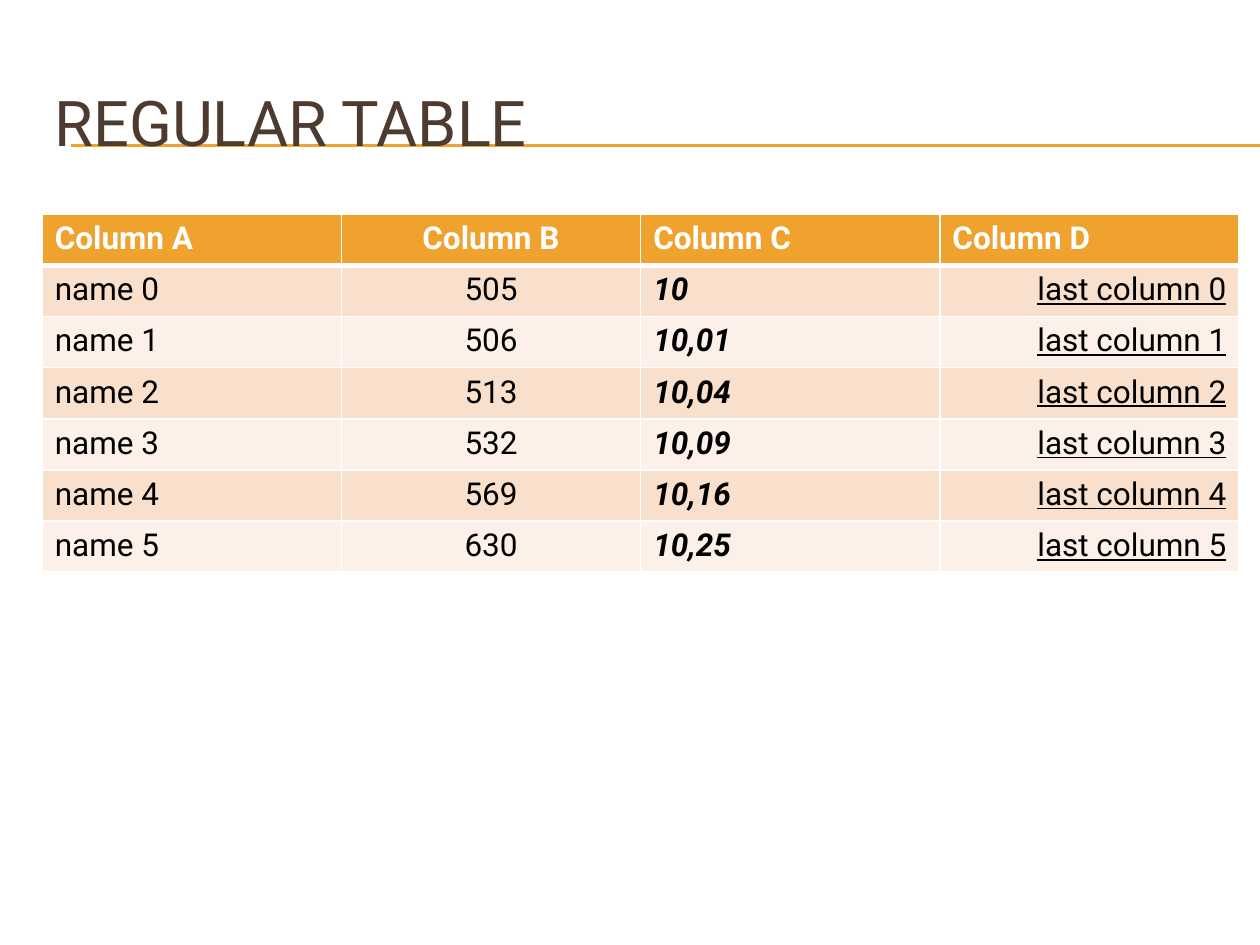
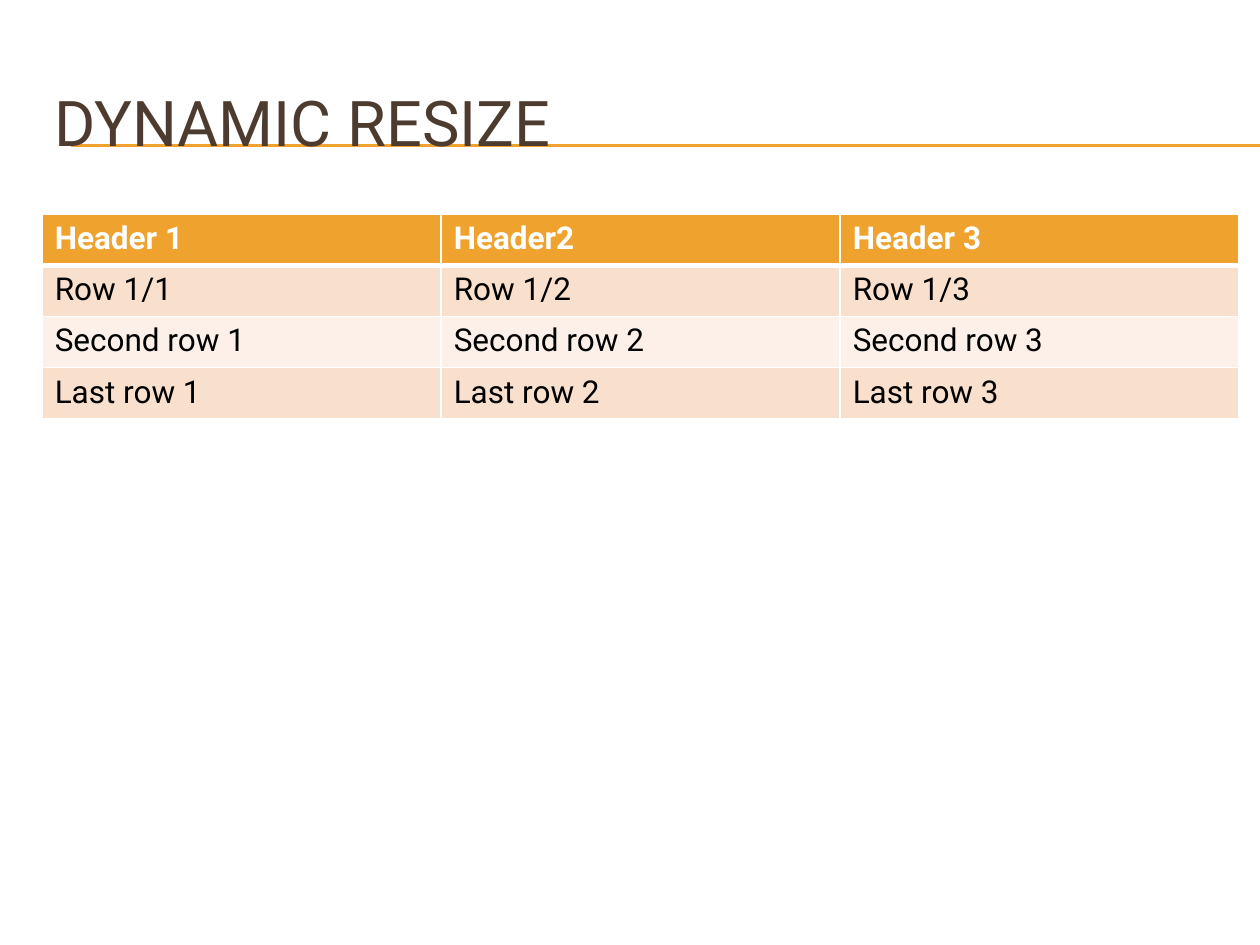
from lxml.etree import SubElement
from pptx import Presentation
from pptx.dml.color import RGBColor
from pptx.enum.shapes import MSO_CONNECTOR
from pptx.enum.text import MSO_ANCHOR, PP_ALIGN
from pptx.oxml.ns import qn
from pptx.util import Inches, Pt

# Content: each column has a look, which its body cells follow
PLAIN = {}
CENTERED = {"align": PP_ALIGN.CENTER, "header_align": PP_ALIGN.CENTER}
STRONG = {"bold": True, "italic": True}
UNDERLINED = {"align": PP_ALIGN.RIGHT, "underline": True}

COUNTS = ["505", "506", "513", "532", "569", "630"]
AMOUNTS = ["10", "10,01", "10,04", "10,09", "10,16", "10,25"]

SLIDES = [
    {
        "title": "REGULAR TABLE",
        "header": ["Column A", "Column B", "Column C", "Column D"],
        "looks": [PLAIN, CENTERED, STRONG, UNDERLINED],
        "body": [
            [f"name {i}", count, amount, f"last column {i}"]
            for i, (count, amount) in enumerate(zip(COUNTS, AMOUNTS))
        ],
    },
    {
        "title": "DYNAMIC RESIZE",
        "header": ["Header 1", "Header2", "Header 3"],
        "looks": [PLAIN] * 3,
        "body": [
            [f"{label}{i}" for i in (1, 2, 3)]
            for label in ("Row 1/", "Second row ", "Last row ")
        ],
    },
]

# Shared style
FONT = "Roboto"
ORANGE = RGBColor(0xF0, 0xA2, 0x2E)
BROWN = RGBColor(0x4E, 0x3B, 0x30)
BLACK = RGBColor(0x00, 0x00, 0x00)
WHITE = RGBColor(0xFF, 0xFF, 0xFF)
BANDS = [RGBColor(0xF9, 0xE0, 0xCD), RGBColor(0xFC, 0xF0, 0xE8)]

SLIDE_WIDTH, SLIDE_HEIGHT = Inches(10), Inches(7.5)
LEFT, CONTENT_WIDTH = Inches(0.335), Inches(9.5)
TITLE_TOP, TITLE_HEIGHT = Inches(0.5), Inches(0.92)
RULE_LEFT, RULE_TOPS = Inches(0.56), (Inches(1.15), Inches(1.16))
TABLE_TOP, ROW_HEIGHT = Inches(1.7), Inches(0.406)


def style_font(font, size, color, bold=False, italic=False, underline=False):
    """Set the shared typeface and the given look on a font."""
    font.name = FONT
    font.size = Pt(size)
    font.color.rgb = color
    font.bold, font.italic, font.underline = bold, italic, underline


def add_rules(slide):
    """Draw the thin title rules that run off to the right edge."""
    for top in RULE_TOPS:
        rule = slide.shapes.add_connector(
            MSO_CONNECTOR.STRAIGHT, RULE_LEFT, top, SLIDE_WIDTH, top)
        rule.line.color.rgb = ORANGE
        rule.line.width = Pt(0.75)
        SubElement(rule._element.spPr, qn("a:effectLst"))


def add_title(slide, title):
    """Write the slide title over the rules."""
    frame = slide.shapes.add_textbox(
        LEFT, TITLE_TOP, CONTENT_WIDTH, TITLE_HEIGHT).text_frame
    frame.word_wrap = True
    frame.vertical_anchor = MSO_ANCHOR.MIDDLE
    frame.text = title
    style_font(frame.paragraphs[0].font, 36, BROWN)


def set_borders(cell, top, bottom):
    """Give a cell white borders, with top and bottom widths in points."""
    properties = cell._tc.get_or_add_tcPr()
    for side, width in (("L", 1), ("R", 1), ("T", top), ("B", bottom)):
        border = SubElement(properties, qn(f"a:ln{side}"), w=str(Pt(width)))
        fill = SubElement(border, qn("a:solidFill"))
        SubElement(fill, qn("a:srgbClr"), val=str(WHITE))


def fill_cell(cell, text, row, look):
    """Write and style one cell; row 0 is the header."""
    is_header = row == 0
    set_borders(cell, top=3 if row == 1 else 1, bottom=3 if is_header else 1)
    cell.fill.solid()
    cell.fill.fore_color.rgb = ORANGE if is_header else BANDS[(row - 1) % 2]
    cell.text = text
    paragraph = cell.text_frame.paragraphs[0]
    paragraph.alignment = look.get(
        "header_align" if is_header else "align", PP_ALIGN.LEFT)
    if is_header:
        style_font(paragraph.font, 18, WHITE, bold=True)
    else:
        emphasis = {key: look.get(key, False)
                    for key in ("bold", "italic", "underline")}
        style_font(paragraph.font, 18, BLACK, **emphasis)


def add_banded_table(slide, header, body, looks):
    """Place a full-width table with equal columns and rows."""
    rows = [header, *body]
    table = slide.shapes.add_table(
        len(rows), len(header), LEFT, TABLE_TOP,
        CONTENT_WIDTH, ROW_HEIGHT * len(rows)).table
    for row, texts in enumerate(rows):
        for column, (text, look) in enumerate(zip(texts, looks)):
            fill_cell(table.cell(row, column), text, row, look)


deck = Presentation()
deck.slide_width, deck.slide_height = SLIDE_WIDTH, SLIDE_HEIGHT
blank_layout = deck.slide_layouts[6]
for content in SLIDES:
    slide = deck.slides.add_slide(blank_layout)
    add_rules(slide)
    add_title(slide, content["title"])
    add_banded_table(slide, content["header"], content["body"], content["looks"])
deck.save("out.pptx")
